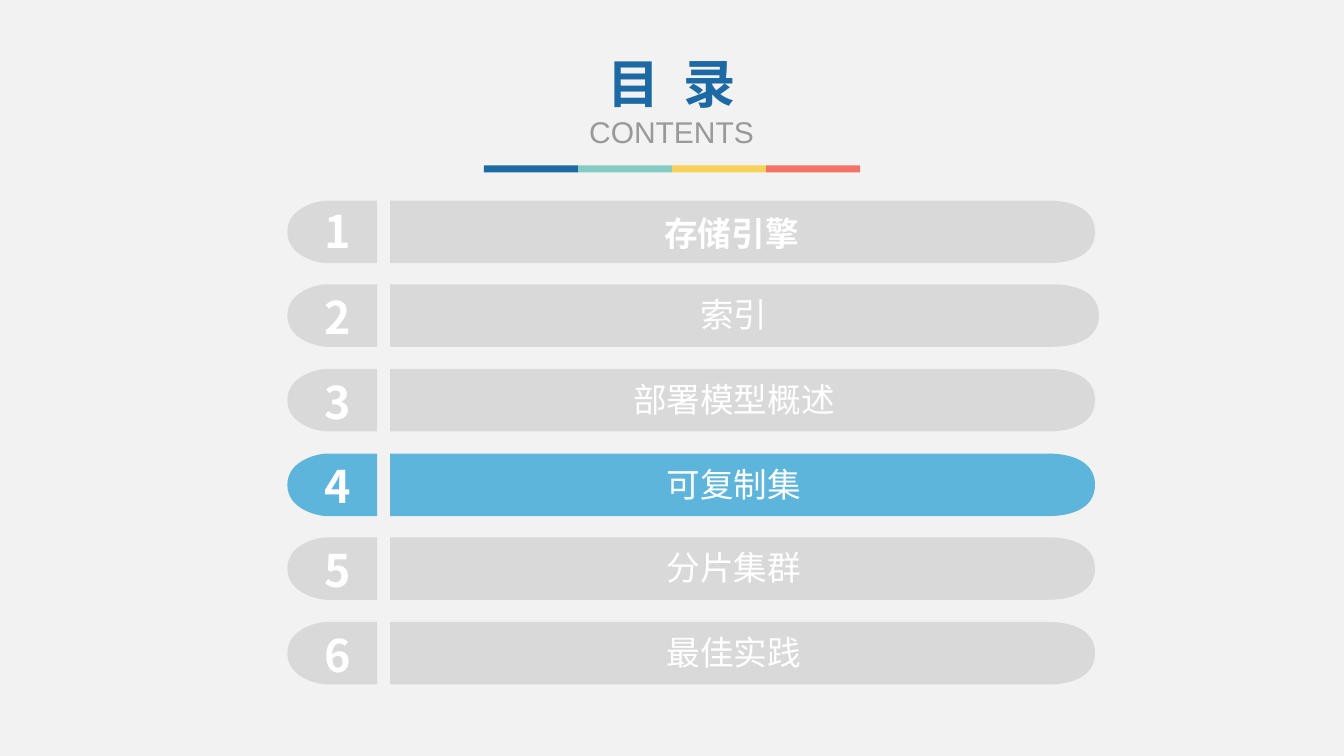
from pptx import Presentation, util as u
from pptx.dml.color import RGBColor
from pptx.enum import shapes, text
from pptx.oxml.ns import qn
from lxml import etree

PX = 9144
COLORS = {"page": "F2F2F2", "navy": "1D69A3", "teal": "84CBC3", "yellow": "F8D158",
          "coral": "F57365", "subtitle": "999999", "idle": "D9D9D9",
          "active": "5DB5DB", "white": "FFFFFF"}
STRIPES = ("navy", "teal", "yellow", "coral")
CJK = "Noto Sans CJK SC"
CHAPTERS = ("存储引擎", "索引", "部署模型概述", "可复制集", "分片集群", "最佳实践")
BOLD_CHAPTER, ACTIVE_CHAPTER, WIDE_CHAPTER = 1, 4, 2


def px(*lengths):
    """Turn pixel lengths into EMU."""
    return [u.Emu(round(length * PX)) for length in lengths]


def paint(shape, color):
    """Give a shape a flat fill without line or shadow."""
    shape.shadow.inherit = False
    shape.fill.solid()
    shape.fill.fore_color.rgb = RGBColor.from_string(COLORS[color])
    shape.line.fill.background()


def style(span, size, color, font=CJK, bold=False):
    """Format one run for Latin and East Asian characters."""
    span.font.size = u.Pt(size)
    span.font.bold = bold
    span.font.color.rgb = RGBColor.from_string(COLORS[color])
    span.font.name = font
    etree.SubElement(span._r.get_or_add_rPr(), qn("a:ea")).set("typeface", CJK)


def add_box(page, left, top, width, height, wrap=True):
    """Add a text box without margins and return its frame."""
    frame = page.shapes.add_textbox(*px(left, top, width, height)).text_frame
    frame.word_wrap = wrap
    frame.margin_left = frame.margin_right = frame.margin_top = frame.margin_bottom = 0
    frame.vertical_anchor = text.MSO_ANCHOR.MIDDLE
    return frame


def add_label(page, left, top, width, height, words, size, bold, wrap=True):
    """Add one centred white line of text."""
    para = add_box(page, left, top, width, height, wrap).paragraphs[0]
    para.text = words
    para.alignment = text.PP_ALIGN.CENTER
    style(para.runs[0], size, "white", bold=bold)


def bend(shape, first, count):
    """Turn line segments from the first one on into cubic curves of three points each."""
    lines = list(shape._element.iter(qn("a:lnTo")))
    for start in range(first, first + 3 * count, 3):
        group = lines[start:start + 3]
        curve = etree.Element(qn("a:cubicBezTo"))
        group[0].addprevious(curve)
        for line in group:
            curve.append(line[0])
            line.getparent().remove(line)


def add_half_pill(page, flat, tip, top, height, depth, reach, color):
    """Draw a bar with a flat edge and a curved end at the tip."""
    inward = depth if flat > tip else -depth
    shoulder, control = tip + inward, tip + inward * reach
    points = [(shoulder, 0), (control, 0), (tip, height * 0.1), (tip, height / 2),
              (tip, height * 0.9), (control, height), (shoulder, height), (flat, height)]
    builder = page.shapes.build_freeform(*px(flat, top))
    builder.add_line_segments([px(x, top + y) for x, y in points], close=True)
    shape = builder.convert_to_shape()
    bend(shape, 1, 2)
    paint(shape, color)


def add_heading(page, left, top, width, height):
    """Place the title, its subtitle and the coloured stripes."""
    frame = add_box(page, left + 79, top, width - 159, height)
    title, subtitle = frame.paragraphs[0], frame.add_paragraph()
    for words in ("目", " ", "录"):
        span = title.add_run()
        span.text = words
        style(span, 37.4, "navy", "Arial Narrow", True)
    title.runs[1]._r.get_or_add_rPr().set("spc", "850")
    subtitle.text = "CONTENTS"
    style(subtitle.runs[0], 21.4, "subtitle", "Arial")
    for para in frame.paragraphs:
        para.alignment = text.PP_ALIGN.CENTER
    stripe = width / len(STRIPES)
    for index, color in enumerate(STRIPES):
        bar = page.shapes.add_shape(shapes.MSO_SHAPE.RECTANGLE,
                                    *px(left + index * stripe, top + 119, stripe, 7))
        paint(bar, color)


def add_chapter(page, left, top, width, height, number, name):
    """Place one chapter row: number tab, bar and both texts."""
    color = "active" if number == ACTIVE_CHAPTER else "idle"
    bold = number == BOLD_CHAPTER
    add_half_pill(page, left + 89, left, top, height, 39, 0.8, color)
    add_half_pill(page, left + 102, left + width, top, height, 46, 0.57, color)
    add_label(page, left + 26, top - 2 * bold, 48, 64, str(number), 32, True, wrap=False)
    add_label(page, left + 106, top + 5 + 2 * bold, 669 if bold else 674, 50, name, 24, bold)


def main():
    """Build the contents slide."""
    deck = Presentation()
    deck.slide_width, deck.slide_height = px(1333, 750)
    page = deck.slides.add_slide(deck.slide_layouts[6])
    page.background.fill.solid()
    page.background.fill.fore_color.rgb = RGBColor.from_string(COLORS["page"])
    add_heading(page, 480, 45, 373, 109)
    for index, name in enumerate(CHAPTERS):
        number = index + 1
        width = 805 if number == WIDE_CHAPTER else 801
        add_chapter(page, 285, 199 + index * 837 // 10, width, 62, number, name)
    deck.save("out.pptx")


if __name__ == "__main__":
    main()
